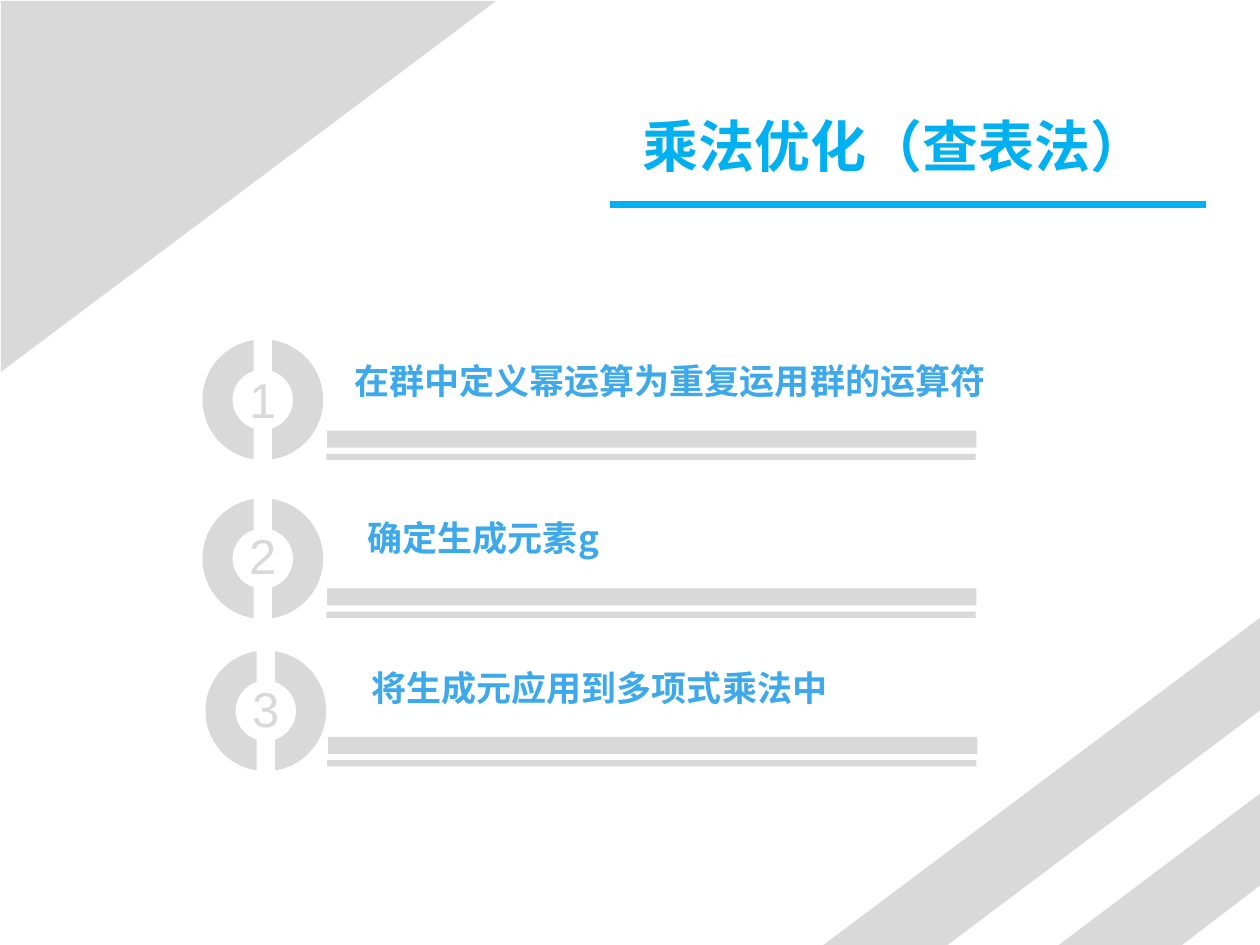
from math import asin, cos, pi, sin, tan

from lxml import etree
from pptx import Presentation
from pptx.dml.color import RGBColor
from pptx.enum.shapes import MSO_CONNECTOR, MSO_SHAPE
from pptx.enum.text import MSO_AUTO_SIZE
from pptx.oxml.ns import qn
from pptx.util import Pt

STRAIGHT = MSO_CONNECTOR.STRAIGHT
RECTANGLE = MSO_SHAPE.RECTANGLE
FIT_SHAPE = MSO_AUTO_SIZE.SHAPE_TO_FIT_TEXT

COLOURS = {"grey": "D9D9D9", "title": "00B0F0", "caption": "3DA9EB"}
CJK_FONT = "Noto Sans CJK SC"
FORMATS = {
    "title": {"size": Pt(32), "name": CJK_FONT, "bold": True},
    "caption": {"size": Pt(20), "name": CJK_FONT, "bold": True},
    "latin_caption": {"size": Pt(20), "name": "Calibri", "bold": True},
    "number": {"size": Pt(28), "name": "Arial"},
}

WIDTH, HEIGHT = 720, 540
RING_RADIUS, HOLE_RADIUS, HALF_GAP = 34.5, 17.3, 5.3
# Each half ring has 13 segments; these start a curve of three points
HALF_SEGMENTS, CURVE_STARTS = 13, (0, 3, 7, 10)

# ring left and top, number top, bars left and top, caption left, top and width, text, format
STEPS = [
    ((115.7, 193.9), 207.6, (186.5, 246.1), (195.4, 201.9, 378),
     "在群中定义幂运算为重复运用群的运算符", "latin_caption"),
    ((115.7, 284.7), 296.9, (186.5, 336.2), (203, 291.6, 350),
     "确定生成元素g", "caption"),
    ((117.4, 371.7), 384.3, (187, 421.1), (205.2, 377.6, 348),
     "将生成元应用到多项式乘法中", "latin_caption"),
]


def colour(key):
    return RGBColor.from_string(COLOURS[key])


def paint_grey(shape):
    shape.shadow.inherit = False
    shape.fill.solid()
    shape.fill.fore_color.rgb = colour("grey")
    shape.line.fill.background()


def add_outline(slide, *contours):
    """Draw closed contours, given as lists of points, as one grey shape."""
    contours = [[(Pt(x), Pt(y)) for x, y in contour] for contour in contours]
    builder = slide.shapes.build_freeform(*contours[0][0])
    for index, contour in enumerate(contours):
        if index:
            builder.move_to(*contour[0])
        builder.add_line_segments(contour[1:], close=True)
    outline = builder.convert_to_shape()
    paint_grey(outline)
    return outline


def add_text(slide, box, text, style, colour_key, wrap=False):
    frame = slide.shapes.add_textbox(*map(Pt, box)).text_frame
    frame.word_wrap = wrap
    frame.auto_size = FIT_SHAPE
    run = frame.paragraphs[0].add_run()
    run.text = text
    for attribute, value in FORMATS[style].items():
        setattr(run.font, attribute, value)
    run.font.color.rgb = colour(colour_key)
    east_asian = etree.SubElement(run.font._element, qn("a:ea"))
    east_asian.set("typeface", CJK_FONT)


def add_corners(slide, width, height):
    add_outline(slide, [(0.5, 0.5), (283.5, 0.5), (0.5, 212.5)])
    add_outline(slide, [(width, 353), (width, 406), (541.5, height), (470.5, height)])
    add_outline(slide, [(width, 453.5), (width, 506), (675.5, height), (605, height)])


def add_title(slide, left, top, width):
    add_text(slide, (left + 11.5, top, 306, 46), "乘法优化（查表法）", "title", "title")
    rule_y = top + 56.5
    rule = slide.shapes.add_connector(
        STRAIGHT, Pt(left), Pt(rule_y), Pt(left + width), Pt(rule_y))
    rule.line.color.rgb = colour("title")
    rule.line.width = Pt(4.5)
    etree.SubElement(rule._element.spPr, qn("a:effectLst"))


def arc(centre_x, centre_y, radius, side):
    """Bezier points from top to bottom of one half circle, short of the gap."""
    start = asin(HALF_GAP / radius)
    reach = 4 / 3 * tan((pi / 2 - start) / 4)

    def point(angle, along):
        return (centre_x + side * radius * (sin(angle) + along * cos(angle)),
                centre_y - radius * (cos(angle) - along * sin(angle)))

    return [point(start, 0), point(start, reach),
            point(pi / 2, -reach), point(pi / 2, 0), point(pi / 2, reach),
            point(pi - start, -reach), point(pi - start, 0)]


def curve_half_rings(ring):
    """Turn the arc segments of both half rings into Bezier curves."""
    segments = list(ring._element.iter(qn("a:lnTo")))
    for half in range(0, len(segments), HALF_SEGMENTS):
        for start in CURVE_STARTS:
            curve = etree.Element(qn("a:cubicBezTo"))
            first = half + start
            segments[first].addprevious(curve)
            for segment in segments[first:first + 3]:
                curve.append(segment[0])
                segment.getparent().remove(segment)


def add_split_ring(slide, left, top, number, number_top):
    centre = left + RING_RADIUS, top + RING_RADIUS
    halves = [arc(*centre, RING_RADIUS, side) + arc(*centre, HOLE_RADIUS, side)[::-1]
              for side in (1, -1)]
    curve_half_rings(add_outline(slide, *halves))
    add_text(slide, (left + 19.5, number_top, 30.2, 41), str(number), "number", "grey")


def add_bars(slide, left, top, width):
    for offset_x, offset_y, height in ((0.5, 0, 9.8), (0, 13.3, 3.6)):
        paint_grey(slide.shapes.add_shape(
            RECTANGLE, Pt(left + offset_x), Pt(top + offset_y), Pt(width), Pt(height)))


def add_steps(slide, bars_width):
    for number, (ring, number_top, bars, caption, text, style) in enumerate(STEPS, 1):
        add_split_ring(slide, *ring, number, number_top)
        add_bars(slide, *bars, bars_width)
        add_text(slide, (*caption, 31.7), text, style, "caption", wrap=True)


def main():
    presentation = Presentation()
    presentation.slide_width, presentation.slide_height = Pt(WIDTH), Pt(HEIGHT)
    slide = presentation.slides.add_slide(presentation.slide_layouts[6])
    add_corners(slide, WIDTH, HEIGHT)
    add_title(slide, 348.5, 60.4, 340.5)
    add_steps(slide, 371)
    presentation.save("out.pptx")


if __name__ == "__main__":
    main()
